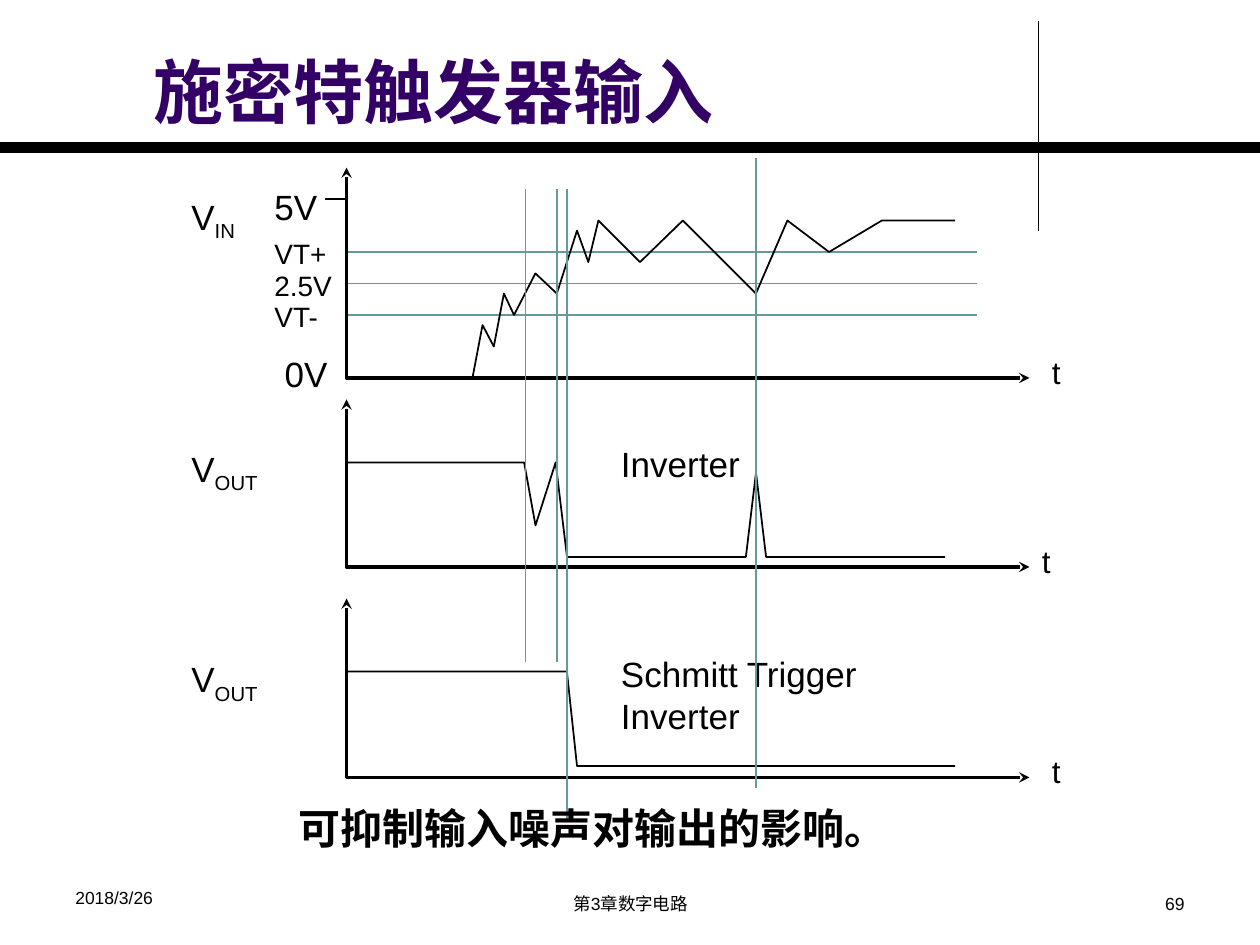
from lxml import etree
from pptx import Presentation
from pptx.dml.color import RGBColor
from pptx.enum.shapes import MSO_CONNECTOR as Conn
from pptx.enum.text import MSO_ANCHOR as Anchor, PP_ALIGN as Align
from pptx.oxml.ns import qn
from pptx.util import Inches, Pt

BLACK = RGBColor(0, 0, 0)
TEAL = RGBColor(0x66, 0x99, 0x99)
PURPLE = RGBColor(0x33, 0x00, 0x66)

INPUT = [(1, 0), (1.08, 0.42), (1.17, 0.25), (1.25, 0.67), (1.33, 0.5),
         (1.5, 0.83), (1.67, 0.67), (1.83, 1.17), (1.92, 0.92), (2, 1.25),
         (2.33, 0.92), (2.67, 1.25), (3.25, 0.67), (3.5, 1.25), (3.83, 1),
         (4.25, 1.25), (4.83, 1.25)]
PLAIN = [(0, 0.83), (1.41, 0.83), (1.5, 0.33), (1.66, 0.83), (1.75, 0.08),
         (3.17, 0.08), (3.25, 0.75), (3.33, 0.08), (4.75, 0.08)]
SCHMITT = [(0, 0.84), (1.75, 0.84), (1.83, 0.09), (4.83, 0.09)]


def text(slide, box, words, size, color=BLACK, bold=False, sub=None,
         align=Align.LEFT, anchor=Anchor.TOP):
    frame = slide.shapes.add_textbox(*map(Inches, box)).text_frame
    frame.word_wrap = True
    frame.vertical_anchor = anchor
    para = frame.paragraphs[0]
    para.alignment = align
    for part in filter(None, (words, sub)):
        run = para.add_run()
        run.text = part
        run.font.name = "Arial"
        run.font.size = Pt(size)
        run.font.bold = bold
        run.font.color.rgb = color
        if part == sub:
            run._r.get_or_add_rPr().set("baseline", "-25000")


def line(slide, start, end, color, width):
    rule = slide.shapes.add_connector(Conn.STRAIGHT, *map(Inches, start + end))
    rule.line.color.rgb = color
    rule.line.width = Pt(width)
    etree.SubElement(rule._element.spPr, qn("a:effectLst"))


def trace(slide, points, width, arrows=False):
    spots = [(Inches(x), Inches(y)) for x, y in points]
    build = slide.shapes.build_freeform(*spots[0])
    build.add_line_segments(spots[1:], close=False)
    shape = build.convert_to_shape()
    shape.shadow.inherit = False
    shape.fill.background()
    shape.line.color.rgb = BLACK
    shape.line.width = Pt(width)
    if arrows:
        for tag in ("a:headEnd", "a:tailEnd"):
            etree.SubElement(shape.line._get_or_add_ln(), qn(tag), type="stealth")


def header(slide, left, top, width, height):
    line(slide, (8.24, top + 0.12), (8.24, top + 1.78), BLACK, 0.75)
    line(slide, (0, top + 1.12), (10, top + 1.12), BLACK, 6)
    text(slide, (left, top, width, height), "施密特触发器输入", 40, PURPLE, True,
         anchor=Anchor.BOTTOM)


def panel(slide, left, top, width, height, wave, sub, drop, gap, title=None):
    base = top + height
    trace(slide, [(left, top), (left, base), (left + width, base)], 2, True)
    trace(slide, [(left + x, base - y) for x, y in wave], 1)
    text(slide, (left - 1.33, top + drop, 1.17, 0.44), "V", 20, sub=sub)
    text(slide, (left + width + gap, base - 0.25, 0.83, 0.5), "t", 18)
    if title:
        text(slide, (left + 2.08, base - 1.04, 2.92, 0.43), title, 20)


def scale(slide, left, top, width, height):
    base = top + height
    for rise in (0.5, 0.75, 1):
        line(slide, (left, base - rise), (left + width, base - rise), TEAL, 1)
    line(slide, (left - 0.17, top + 0.25), (left, top + 0.25), BLACK, 1)
    for words, size, shift, rise in (("5V", 20, 0, 1.58), ("VT+", 16, 0, 1.17),
                                     ("2.5V", 16, 0, 0.92), ("VT-", 16, 0, 0.67),
                                     ("0V", 20, 0.08, 0.25)):
        text(slide, (left - 0.67 + shift, base - rise, 0.75, 0.43), words, size)


def guides(slide, left, top):
    for shift, start, end in ((1.42, 0.17, 3.92), (1.67, 0.17, 3.92),
                              (1.75, 0.17, 5.17), (3.25, -0.08, 4.92)):
        line(slide, (left + shift, top + start), (left + shift, top + end), TEAL, 1)


def footer(slide, left, top, width):
    part = 2.33
    text(slide, (left, top, part, 0.34), "2018/3/26", 10)
    text(slide, (left + 2.92, top + 0.05, 3.17, 0.29), "第3章数字电路", 10,
         align=Align.CENTER)
    text(slide, (left + width - part, top + 0.05, part, 0.29), "69", 10,
         align=Align.RIGHT)


def main():
    deck = Presentation()
    deck.slide_width, deck.slide_height = Inches(10), Inches(7.5)
    slide = deck.slides.add_slide(deck.slide_layouts[6])
    left, top, width = 2.75, 1.33, 5.42
    header(slide, 1.12, 0.05, 8.88, 1.05)
    scale(slide, left, top, 5, 1.67)
    panel(slide, left, top, width, 1.67, INPUT, "IN", 0.17, 0.08)
    panel(slide, left, 3.17, width, 1.33, PLAIN, "OUT", 0.33, 0, "Inverter")
    panel(slide, left, 4.75, width, 1.42, SCHMITT, "OUT", 0.42, 0.08,
          "Schmitt Trigger Inverter")
    guides(slide, left, top)
    text(slide, (2.27, 6.32, 5.9, 0.5), "可抑制输入噪声对输出的影响。", 24, bold=True)
    footer(slide, 0.5, 6.99, 9)
    deck.save("out.pptx")


if __name__ == "__main__":
    main()
